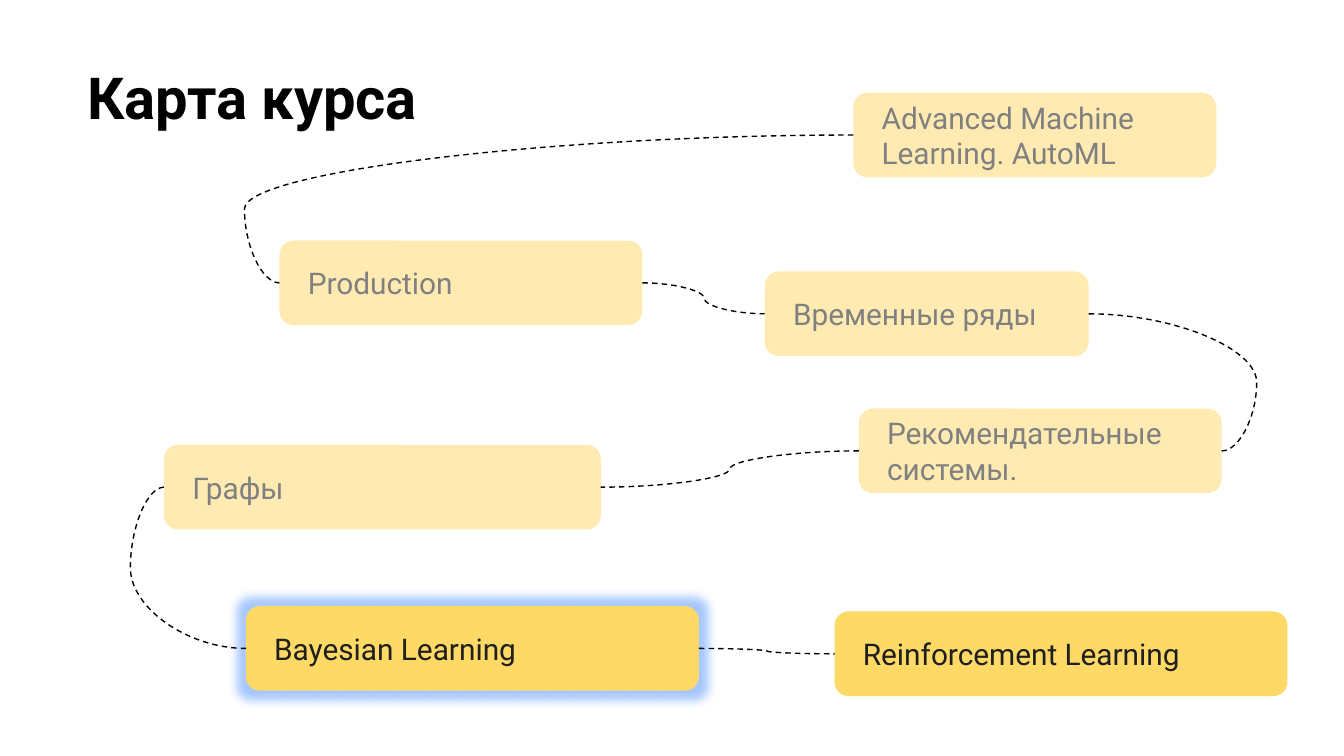
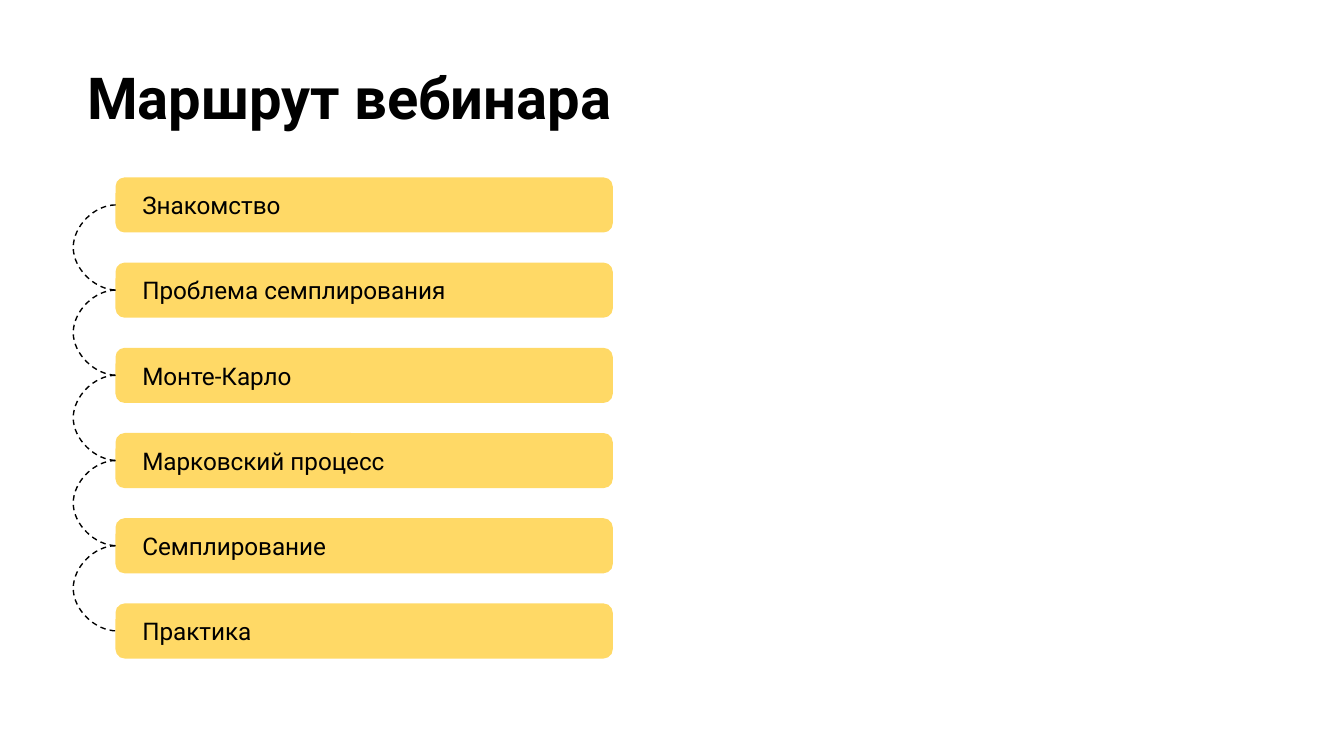
import dataclasses

import lxml.etree
import pptx
import pptx.dml.color
import pptx.enum.dml
import pptx.enum.shapes
import pptx.enum.text
import pptx.oxml.ns
import pptx.util

Inches = pptx.util.Inches
LEFT, RIGHT = 1, 3


@dataclasses.dataclass(frozen=True)
class Theme:
    font: str = "Roboto"
    black: str = "000000"
    muted: str = "808080"
    dark: str = "1F1F1F"
    yellow: str = "FFD966"
    glow: str = "3E85FF"
    title_size: int = 31
    topic_size: int = 16
    step_size: int = 13
    line_width: float = 0.75


THEME = Theme()

TOPICS = {
    "automl": ("Advanced Machine Learning. AutoML", 6.35, 0.69, 2.7, True),
    "production": ("Production", 2.08, 1.79, 2.7, True),
    "series": ("Временные ряды", 5.69, 2.02, 2.41, True),
    "graphs": ("Графы", 1.22, 3.31, 3.25, True),
    "recsys": ("Рекомендательные системы.", 6.39, 3.04, 2.7, True),
    "bayes": ("Bayesian Learning", 1.83, 4.51, 3.37, False),
    "reinforcement": ("Reinforcement Learning", 6.21, 4.55, 3.37, False),
}

LINKS = [
    ("automl", LEFT, "production", LEFT, 1.82),
    ("production", RIGHT, "series", LEFT, 5.24),
    ("series", RIGHT, "recsys", RIGHT, 9.35),
    ("recsys", LEFT, "graphs", RIGHT, 5.43),
    ("graphs", LEFT, "bayes", LEFT, 0.97),
    ("bayes", RIGHT, "reinforcement", LEFT, 5.71),
]

STEPS = [
    "Знакомство",
    "Проблема семплирования",
    "Монте-Карло",
    "Марковский процесс",
    "Семплирование",
    "Практика",
]


def rgb(color):
    return pptx.dml.color.RGBColor.from_string(color)


def add_xml(parent, tag, **attributes):
    child = lxml.etree.SubElement(parent, pptx.oxml.ns.qn(tag))
    for name, value in attributes.items():
        child.set(name, str(value))
    return child


def apply(target, formats):
    for name, value in formats.items():
        setattr(target, name, value)


def write(tf, text, size, color, bold=False, side=0.1, anchor="MIDDLE"):
    apply(tf, {
        "word_wrap": True,
        "auto_size": pptx.enum.text.MSO_AUTO_SIZE.NONE,
        "vertical_anchor": getattr(pptx.enum.text.MSO_ANCHOR, anchor),
        "margin_left": Inches(side),
        "margin_right": Inches(side),
        "margin_top": Inches(0.1),
        "margin_bottom": Inches(0.1),
    })
    p = tf.paragraphs[0]
    p.alignment = pptx.enum.text.PP_ALIGN.LEFT
    r = p.add_run()
    r.text = text
    apply(r.font, {"name": THEME.font, "size": pptx.util.Pt(size), "bold": bold})
    r.font.color.rgb = rgb(color)


def add_titled_slide(prs, title):
    s = prs.slides.add_slide(prs.slide_layouts[5])
    apply(s.shapes.title, {
        "left": Inches(0.55),
        "top": Inches(0.36),
        "width": Inches(9.32),
        "height": Inches(1.2),
    })
    write(s.shapes.title.text_frame, title, THEME.title_size, THEME.black,
          bold=True, anchor="TOP")
    return s


def add_card(s, text, left, top, width, height, size, color):
    sp = s.shapes.add_shape(
        pptx.enum.shapes.MSO_SHAPE.ROUNDED_RECTANGLE,
        Inches(left), Inches(top), Inches(width), Inches(height))
    sp.shadow.inherit = False
    sp.fill.solid()
    sp.fill.fore_color.rgb = rgb(THEME.yellow)
    sp.line.fill.background()
    write(sp.text_frame, text, size, color, side=0.18)
    return sp


def fade(sp):
    color = sp.element.spPr.find(".//" + pptx.oxml.ns.qn("a:srgbClr"))
    add_xml(color, "a:alpha", val=50000)


def add_glow(sp):
    effects = sp.element.spPr.find(pptx.oxml.ns.qn("a:effectLst"))
    glow = add_xml(effects, "a:glow", rad=Inches(0.14))
    color = add_xml(glow, "a:srgbClr", val=THEME.glow)
    add_xml(color, "a:alpha", val=45000)


def add_curve(s, start, start_side, end, end_side, bend):
    curve = s.shapes.add_connector(pptx.enum.shapes.MSO_CONNECTOR.CURVE, 0, 0, 0, 0)
    curve.begin_connect(start, start_side)
    curve.end_connect(end, end_side)
    if curve.begin_x == curve.end_x:
        curve.end_x += Inches(0.01)
    ratio = (Inches(bend) - curve.begin_x) / (curve.end_x - curve.begin_x)
    geometry = curve._element.spPr.find(pptx.oxml.ns.qn("a:prstGeom"))
    guides = geometry.find(pptx.oxml.ns.qn("a:avLst"))
    add_xml(guides, "a:gd", name="adj1", fmla=f"val {round(ratio * 100000)}")
    curve.line.color.rgb = rgb(THEME.black)
    apply(curve.line, {
        "width": pptx.util.Pt(THEME.line_width),
        "dash_style": pptx.enum.dml.MSO_LINE.DASH,
    })
    add_xml(curve._element.spPr, "a:effectLst")


def build_course_map(prs):
    s = add_titled_slide(prs, "Карта курса")
    cards = {}
    for key, (text, left, top, width, passed) in TOPICS.items():
        color = THEME.muted if passed else THEME.dark
        cards[key] = add_card(s, text, left, top, width, 0.63,
                              THEME.topic_size, color)
        if passed:
            fade(cards[key])
    add_glow(cards["bayes"])
    for start, start_side, end, end_side, bend in LINKS:
        add_curve(s, cards[start], start_side, cards[end], end_side, bend)


def build_webinar_route(prs):
    s = add_titled_slide(prs, "Маршрут вебинара")
    first, last = 1.32, 4.49
    pitch = (last - first) / (len(STEPS) - 1)
    cards = [
        add_card(s, text, 0.86, first + i * pitch, 3.7, 0.41,
                 THEME.step_size, THEME.black)
        for i, text in enumerate(STEPS)
    ]
    for start, end in zip(cards, cards[1:]):
        add_curve(s, start, LEFT, end, LEFT, 0.54)


def main():
    prs = pptx.Presentation()
    width = 10
    apply(prs, {
        "slide_width": Inches(width),
        "slide_height": Inches(width * 9 / 16),
    })
    build_course_map(prs)
    build_webinar_route(prs)
    prs.save("out.pptx")


if __name__ == "__main__":
    main()
